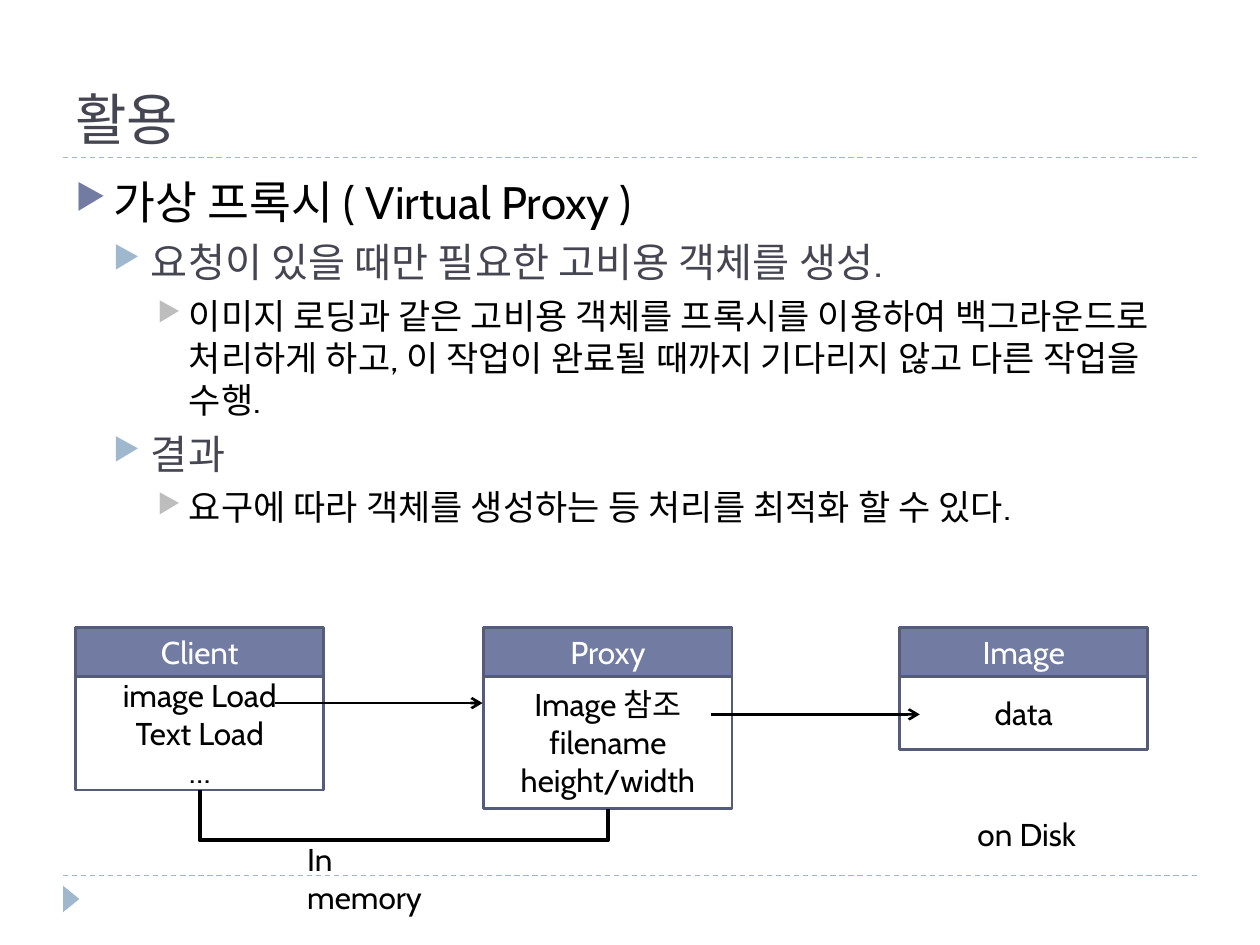
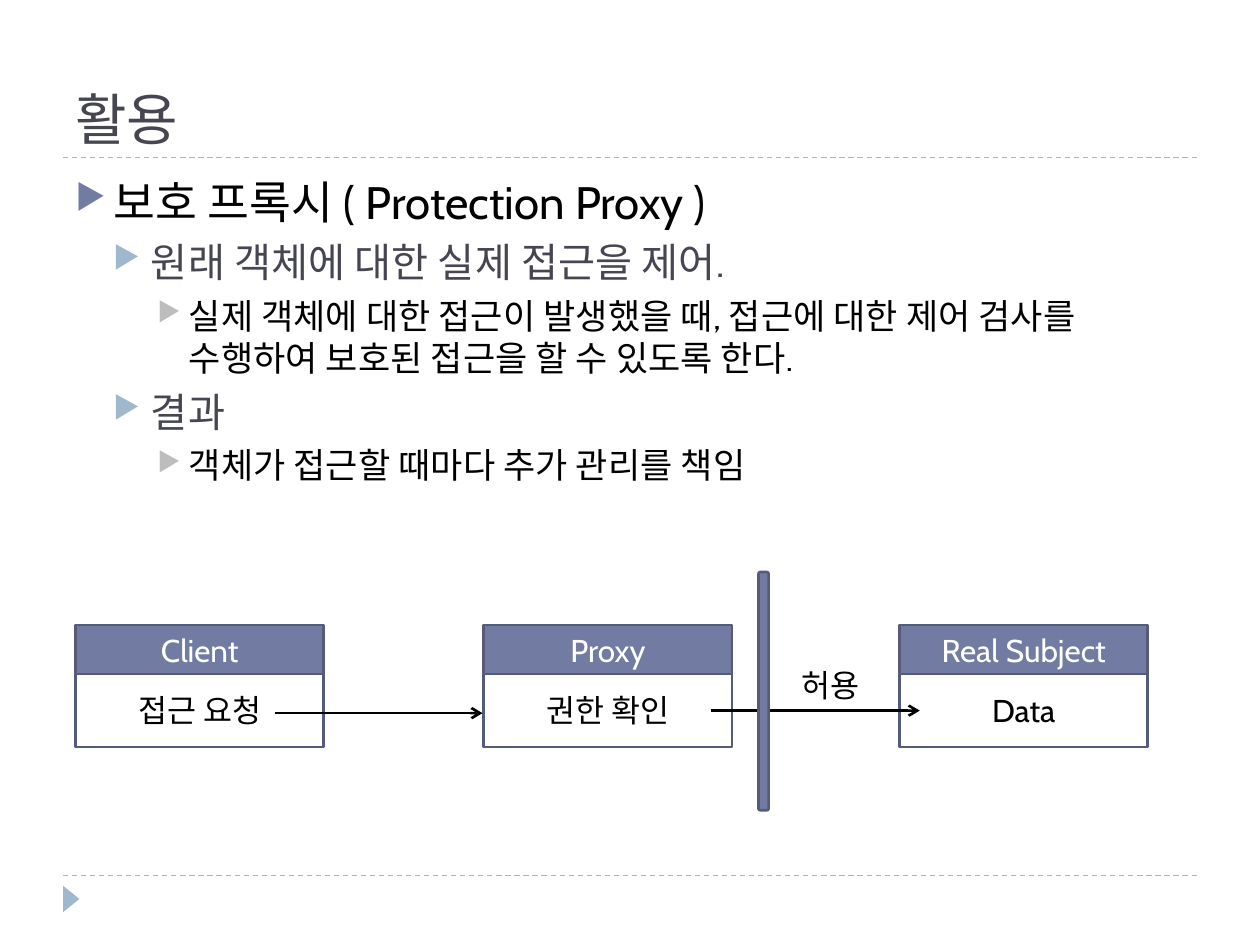
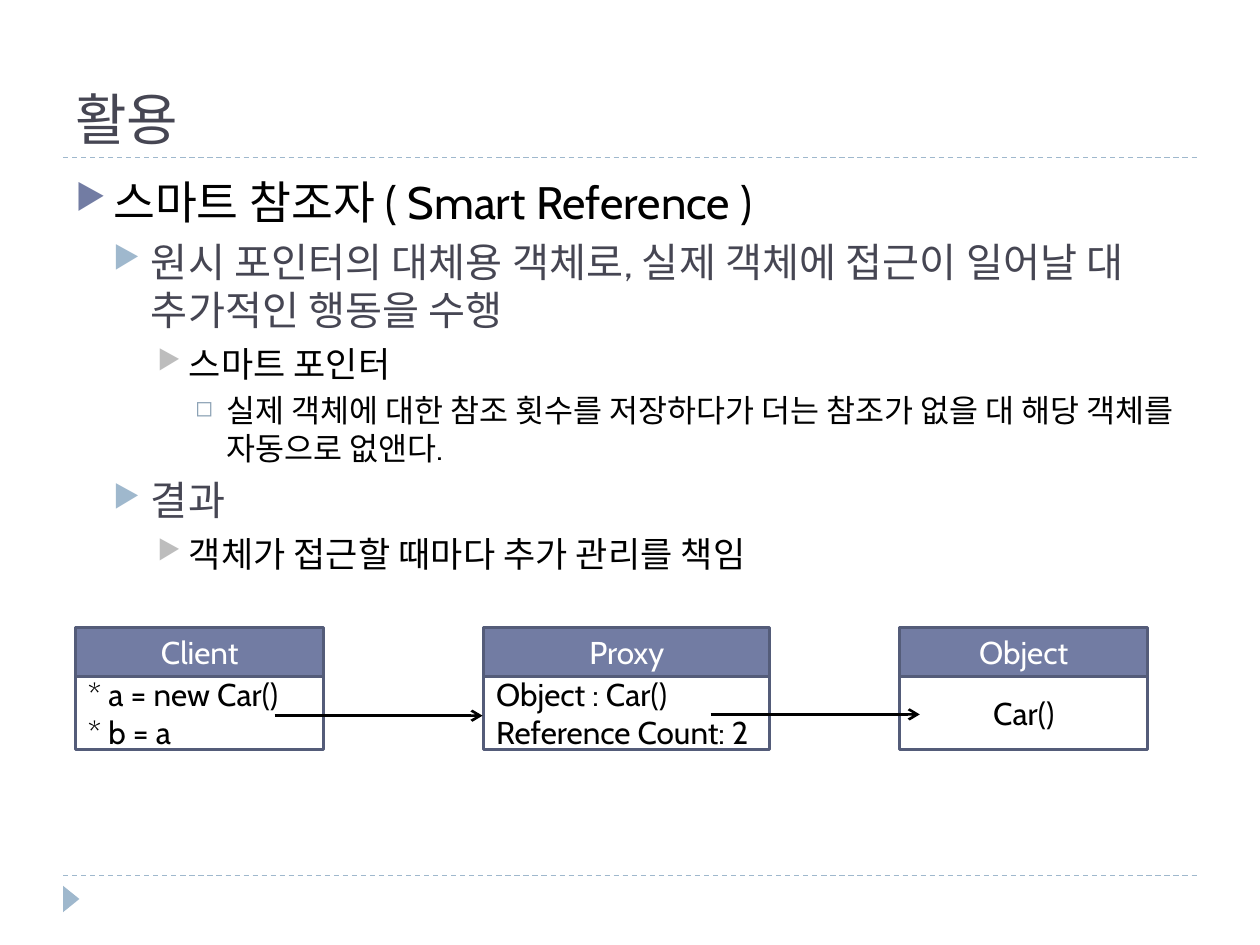
from dataclasses import dataclass
from lxml.etree import SubElement
from pptx import Presentation
from pptx.dml.color import RGBColor
from pptx.enum.dml import MSO_LINE
from pptx.enum.shapes import MSO_CONNECTOR as Link, MSO_SHAPE as Preset
from pptx.enum.text import MSO_ANCHOR as Anchor, PP_ALIGN as Align
from pptx.oxml.ns import qn
from pptx.util import Pt

# Content: bullets are (level, text), cards are (heading, lines)
PAGES = [
    dict(
        title="활용",
        bullets=[
            (0, "가상 프록시 ( Virtual Proxy )"),
            (1, "요청이 있을 때만 필요한 고비용 객체를 생성."),
            (2, "이미지 로딩과 같은 고비용 객체를 프록시를 이용하여 백그라운드로 처리하게 하고, "
                "이 작업이 완료될 때까지 기다리지 않고 다른 작업을 수행."),
            (1, "결과"),
            (2, "요구에 따라 객체를 생성하는 등 처리를 최적화 할 수 있다."),
        ],
        cards=[("Client", ["image Load", "Text Load", "…"]),
               ("Proxy", ["Image 참조", "filename", "height/width"]),
               ("Image", ["data"])],
        top=498, widths=(197, 197, 197), heights=(121, 136, 89),
        aligns=(Align.CENTER,) * 3,
        arrow_levels=(558, 567),
        memory_link=True,
        labels=[("In memory", (234, 662, 133, 40)), ("on Disk", (766, 642, 100, 40))],
    ),
    dict(
        title="활용",
        bullets=[
            (0, "보호 프록시 ( Protection Proxy )"),
            (1, "원래 객체에 대한 실제 접근을 제어."),
            (2, "실제 객체에 대한 접근이 발생했을 때, 접근에 대한 제어 검사를 "
                "수행하여 보호된 접근을 할 수 있도록 한다."),
            (1, "결과"),
            (2, "객체가 접근할 때마다 추가 관리를 책임"),
        ],
        cards=[("Client", ["접근 요청"]), ("Proxy", ["권한 확인"]), ("Real Subject", ["Data"])],
        top=496, widths=(197, 197, 197), heights=(89, 89, 89),
        aligns=(Align.CENTER,) * 3,
        arrow_levels=(566, 564),
        barrier=(602, 454, 8, 189),
        labels=[("허용", (626, 524, 71, 40))],
    ),
    dict(
        title="활용",
        bullets=[
            (0, "스마트 참조자 ( Smart Reference )"),
            (1, "원시 포인터의 대체용 객체로, 실제 객체에 접근이 일어날 대 추가적인 행동을 수행"),
            (2, "스마트 포인터"),
            (3, "실제 객체에 대한 참조 횟수를 저장하다가 더는 참조가 없을 대 해당 객체를 자동으로 없앤다."),
            (1, "결과"),
            (2, "객체가 접근할 때마다 추가 관리를 책임"),
        ],
        cards=[("Client", ["* a = new Car()", "* b = a"]),
               ("Proxy", ["Object : Car()", "Reference Count: 2"]),
               ("Object", ["Car()"])],
        top=498, widths=(197, 227, 197), heights=(89, 89, 89),
        aligns=(Align.LEFT, Align.LEFT, Align.CENTER),
        arrow_levels=(568, 567),
    ),
]


@dataclass(frozen=True)
class Theme:
    title_font: str = "TeX Gyre Bonum"
    body_font: str = "Cabin"
    ink: str = "000000"
    slate: str = "464653"
    white: str = "FFFFFF"
    accent: str = "727CA3"
    outline: str = "545C79"
    pale: str = "9FB8CD"
    title_size: int = 32
    card_size: int = 18
    # level: size, colour, hanging indent, space before, bullet, its colour, its percent
    levels: tuple = (
        (26, "000000", 30, 6, "▶", "727CA3", 76),
        (23, "464653", 30, 5, "▶", "9FB8CD", 76),
        (20, "000000", 25, 5, "▶", "BDBDBD", 76),
        (18, "000000", 25, 4, "◻", "8CA2B5", 70),
    )


THEME = Theme()
PX = 9144  # 100 px to the inch
WIDTH, HEIGHT = 1000, 750
MARGIN, RULES = 50, (125, 695)
LEVEL_STEP = 30
CARD_LEFTS, HEADING_HEIGHT, CARD_OVERLAP = (60, 384, 714), 39, 8
CARD_INSET_TOP = 35  # keeps card text clear of the heading
ARROWS = ((218, 383), (564, 730))
LINK_DROP = 40


def px(*lengths):
    return [round(length * PX) for length in lengths]


def rgb(code):
    return RGBColor.from_string(code)


def write(frame, lines, *, size, color=THEME.ink, font=THEME.body_font,
          align=Align.LEFT, anchor=Anchor.TOP):
    """Fill a text frame, one paragraph a line, and return the paragraphs."""
    frame.word_wrap = True
    frame.vertical_anchor = anchor
    paras = []
    for number, line in enumerate(lines):
        para = frame.add_paragraph() if number else frame.paragraphs[0]
        para.alignment = align
        span = para.add_run()
        span.text = line
        span.font.size = Pt(size)
        span.font.name = font
        span.font.color.rgb = rgb(color)
        SubElement(span.font._element, qn("a:ea"), typeface=font)
        paras.append(para)
    return paras


def add_label(page, area, lines, **style):
    box = page.shapes.add_textbox(*px(*area))
    return write(box.text_frame, lines, **style)


def add_box(page, area, *, fill, line=THEME.outline, preset=Preset.RECTANGLE):
    box = page.shapes.add_shape(preset, *px(*area))
    box.shadow.inherit = False
    box.fill.solid()
    box.fill.fore_color.rgb = rgb(fill)
    if line:
        box.line.color.rgb = rgb(line)
        box.line.width = Pt(1.5)
    else:
        box.line.fill.background()
    return box


def add_line(page, start, end, *, color=THEME.ink, weight=1.5, kind=Link.STRAIGHT,
             dash=None, arrow=False):
    line = page.shapes.add_connector(kind, *px(*start, *end))
    line.line.color.rgb = rgb(color)
    line.line.width = Pt(weight)
    if dash:
        line.line.dash_style = dash
    if arrow:
        SubElement(line.line._get_or_add_ln(), qn("a:tailEnd"), type="arrow")
    SubElement(line._element.spPr, qn("a:effectLst"))
    return line


def add_frame(page, title):
    """Rules, corner marker and title that every page carries."""
    for level in reversed(RULES):
        add_line(page, (MARGIN, level), (WIDTH - MARGIN, level),
                 color=THEME.pale, weight=0.75, dash=MSO_LINE.DASH)
    marker = add_box(page, (46, 707, 21, 13), fill=THEME.pale, line=None,
                     preset=Preset.ISOSCELES_TRIANGLE)
    marker.rotation = 90
    add_label(page, (MARGIN, 17, WIDTH - 2 * MARGIN, 108), [title], size=THEME.title_size,
              color=THEME.slate, font=THEME.title_font, anchor=Anchor.BOTTOM)


def add_bullets(page, bullets):
    area = (MARGIN, 133, WIDTH - 2 * MARGIN, 540)
    paras = add_label(page, area, [text for _, text in bullets], size=THEME.card_size)
    for para, (level, _) in zip(paras, bullets):
        size, color, hang, before, mark, mark_color, percent = THEME.levels[level]
        para.level = level
        para.space_before = Pt(before)
        font = para.runs[0].font
        font.size = Pt(size)
        font.color.rgb = rgb(color)
        props = para._p.get_or_add_pPr()
        props.set("marL", str(LEVEL_STEP * (level + 1) * PX))
        props.set("indent", str(-hang * PX))
        tint = SubElement(props, qn("a:buClr"))
        SubElement(tint, qn("a:srgbClr"), val=mark_color)
        SubElement(props, qn("a:buSzPct"), val=str(percent * 1000))
        SubElement(props, qn("a:buChar"), char=mark)


def add_card(page, left, top, width, height, heading, lines, align):
    card = add_box(page, (left, top + CARD_OVERLAP, width, height), fill=THEME.white)
    card.text_frame.margin_top = CARD_INSET_TOP * PX
    write(card.text_frame, lines, size=THEME.card_size, align=align, anchor=Anchor.MIDDLE)
    header = add_box(page, (left, top, width, HEADING_HEIGHT), fill=THEME.accent)
    write(header.text_frame, [heading], size=THEME.card_size, color=THEME.white,
          align=Align.CENTER, anchor=Anchor.MIDDLE)
    return card


def add_under_link(page, first, second):
    """U-shaped connector between the bottom edges of two cards."""
    link = add_line(page, (0, 0), (10, 10), weight=2.25, kind=Link.ELBOW)
    link.begin_connect(first, 2)
    link.end_connect(second, 2)
    # A quarter turn makes the connector leave downwards
    run, rise = link.end_x - link.begin_x, link.end_y - link.begin_y
    middle_x, middle_y = link.begin_x + run // 2, link.begin_y + rise // 2
    link.left, link.top = middle_x - rise // 2, middle_y - run // 2
    link.width, link.height = rise, run
    xfrm = link._element.spPr.find(qn("a:xfrm"))
    xfrm.set("rot", str(270 * 60000))
    xfrm.set("flipH", "1")
    guides = link._element.spPr.find(qn("a:prstGeom")).find(qn("a:avLst"))
    bend = round(LINK_DROP * PX / rise * 100000)
    SubElement(guides, qn("a:gd"), name="adj1", fmla=f"val {bend}")


def add_diagram(page, content):
    columns = zip(CARD_LEFTS, content["widths"], content["heights"],
                  content["cards"], content["aligns"])
    cards = [add_card(page, left, content["top"], width, height, heading, lines, align)
             for left, width, height, (heading, lines), align in columns]
    for (start, end), level in zip(ARROWS, content["arrow_levels"]):
        add_line(page, (start, level), (end, level), arrow=True)
    if content.get("memory_link"):
        add_under_link(page, cards[0], cards[1])
    if "barrier" in content:
        add_box(page, content["barrier"], fill=THEME.accent, preset=Preset.ROUNDED_RECTANGLE)
    for text, area in content.get("labels", []):
        add_label(page, area, [text], size=THEME.card_size)


def main():
    deck = Presentation()
    deck.slide_width, deck.slide_height = px(WIDTH, HEIGHT)
    for content in PAGES:
        page = deck.slides.add_slide(deck.slide_layouts[6])
        add_frame(page, content["title"])
        add_bullets(page, content["bullets"])
        add_diagram(page, content)
    deck.save("out.pptx")


if __name__ == "__main__":
    main()
